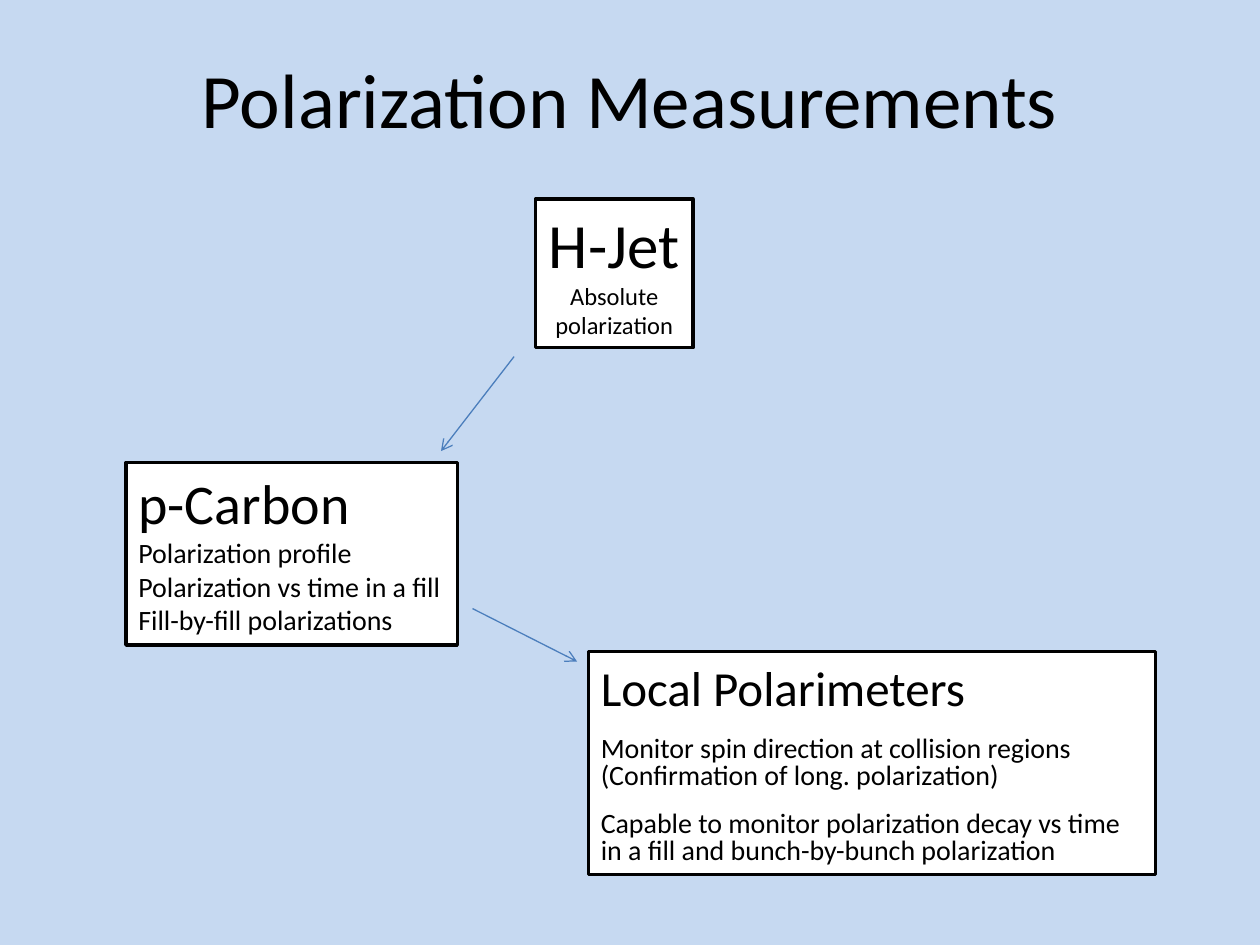
from pptx import Presentation
from pptx import util as u
from pptx.dml.color import RGBColor
from pptx.enum import shapes, text
from pptx.oxml.ns import qn
from lxml import etree

BACKGROUND = RGBColor(0xC6, 0xD9, 0xF1)
WHITE = RGBColor(0xFF, 0xFF, 0xFF)
BLACK = RGBColor(0x00, 0x00, 0x00)
ARROW_BLUE = RGBColor(0x4B, 0x7E, 0xBC)
FONT = "Calibri"
LEFT, CENTER = text.PP_ALIGN.LEFT, text.PP_ALIGN.CENTER


def write_line(paragraph, words, size, align, before=0, spacing=1.0):
    paragraph.alignment = align
    paragraph.line_spacing = spacing
    if before:
        paragraph.space_before = u.Pt(before)
    run = paragraph.add_run()
    run.text = words
    run.font.size = u.Pt(size)
    run.font.name = FONT
    run.font.color.rgb = BLACK


def add_title(slide, words):
    title = slide.shapes.add_textbox(u.Inches(0.5), u.Inches(0.3), u.Inches(9), u.Inches(0.95))
    frame = title.text_frame
    frame.word_wrap = True
    frame.vertical_anchor = text.MSO_ANCHOR.MIDDLE
    write_line(frame.paragraphs[0], words, 44, CENTER)


def add_polarimeter(slide, place, heading, heading_size, details, detail_size,
                    align=LEFT, spacing=1.0, wrap=True):
    """Framed box: a heading, then details as (words, points before)."""
    box = slide.shapes.add_shape(shapes.MSO_SHAPE.RECTANGLE, *map(u.Inches, place))
    box.shadow.inherit = False
    box.fill.solid()
    box.fill.fore_color.rgb = WHITE
    box.line.color.rgb = BLACK
    box.line.width = u.Pt(2)
    frame = box.text_frame
    frame.word_wrap = wrap
    frame.auto_size = text.MSO_AUTO_SIZE.SHAPE_TO_FIT_TEXT
    frame.vertical_anchor = text.MSO_ANCHOR.TOP
    write_line(frame.paragraphs[0], heading, heading_size, align)
    for words, before in details:
        write_line(frame.add_paragraph(), words, detail_size, align, before, spacing)


def add_arrow(slide, start, end):
    arrow = slide.shapes.add_connector(
        shapes.MSO_CONNECTOR.STRAIGHT, *map(u.Inches, start + end))
    arrow.line.color.rgb = ARROW_BLUE
    arrow.line.width = u.Pt(0.75)
    etree.SubElement(arrow.line._get_or_add_ln(), qn("a:tailEnd"), type="arrow")
    etree.SubElement(arrow._element.spPr, qn("a:effectLst"))


def main():
    deck = Presentation()
    deck.slide_width, deck.slide_height = u.Inches(10), u.Inches(7.5)
    slide = deck.slides.add_slide(deck.slide_layouts[6])
    slide.background.fill.solid()
    slide.background.fill.fore_color.rgb = BACKGROUND

    add_title(slide, "Polarization Measurements")

    # Polarimeters, from absolute to local
    add_polarimeter(slide, (4.25, 1.58, 1.25, 1.18), "H-Jet", 36,
                    [("Absolute polarization", 0)], 14, align=CENTER)
    add_polarimeter(slide, (1, 3.67, 2.63, 1.45), "p-Carbon", 32,
                    [("Polarization profile", 0),
                     ("Polarization vs time in a fill", 0),
                     ("Fill-by-fill polarizations", 0)], 16, wrap=False)
    add_polarimeter(slide, (4.67, 5.17, 4.5, 1.77), "Local Polarimeters", 28,
                    [("Monitor spin direction at collision regions", 12),
                     ("(Confirmation of long. polarization)", 0),
                     ("Capable to monitor polarization decay vs time in a fill "
                      "and bunch-by-bunch polarization", 12)], 16, spacing=0.8)

    # Calibration flow
    add_arrow(slide, (4.08, 2.83), (3.5, 3.58))
    add_arrow(slide, (3.75, 4.83), (4.58, 5.25))

    deck.save("out.pptx")


if __name__ == "__main__":
    main()
